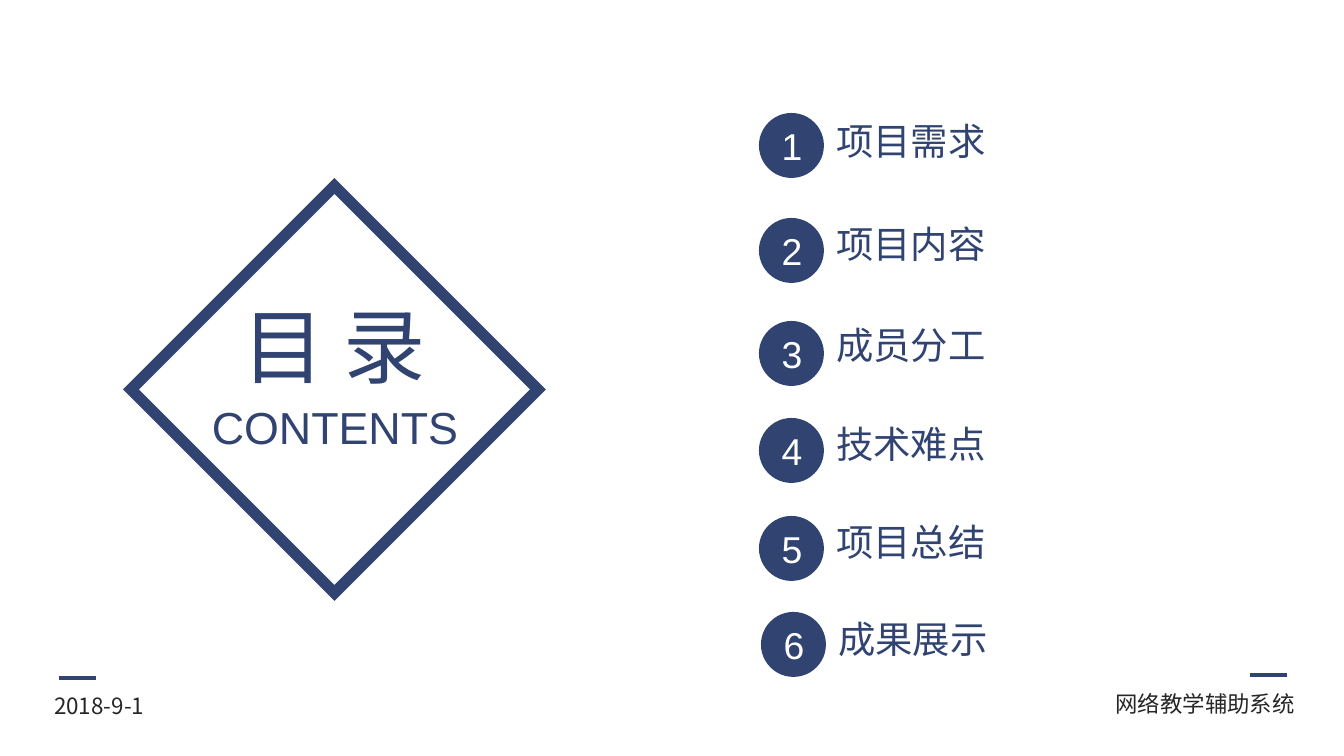
from lxml import etree
from pptx import Presentation
from pptx.dml.color import RGBColor
from pptx.enum.shapes import MSO_CONNECTOR, MSO_SHAPE
from pptx.enum.text import MSO_ANCHOR, MSO_AUTO_SIZE, PP_ALIGN
from pptx.oxml.ns import qn
from pptx.util import Pt

LEFT, CENTER, RIGHT = PP_ALIGN.LEFT, PP_ALIGN.CENTER, PP_ALIGN.RIGHT
MIDDLE = MSO_ANCHOR.MIDDLE
FIT = MSO_AUTO_SIZE.SHAPE_TO_FIT_TEXT
STRAIGHT = MSO_CONNECTOR.STRAIGHT
DIAMOND, OVAL = MSO_SHAPE.DIAMOND, MSO_SHAPE.OVAL

COLORS = {"navy": "304371", "ink": "262626", "white": "FFFFFF"}
LATIN, HAN = "Arial", "Noto Sans CJK SC"
EMU_PER_PX = 914400 / 134.4


def px(*lengths):
    return [round(length * EMU_PER_PX) for length in lengths]


def color(name):
    return RGBColor.from_string(COLORS[name])


def write(frame, text, size, font, ink, align):
    paragraph = frame.paragraphs[0]
    paragraph.alignment = align
    run = paragraph.add_run()
    run.text = text
    for key, value in {"size": Pt(size), "name": font}.items():
        setattr(run.font, key, value)
    run.font.color.rgb = color(ink)
    # East Asian glyphs take their own typeface
    etree.SubElement(run.font._element, qn("a:ea"), typeface=font)


def add_label(slide, box, text, size, font=HAN, ink="navy", align=LEFT):
    frame = slide.shapes.add_textbox(*px(*box)).text_frame
    for key, value in {"word_wrap": False, "auto_size": FIT}.items():
        setattr(frame, key, value)
    write(frame, text, size, font, ink, align)


def add_dash(slide, x, y, length=37):
    dash = slide.shapes.add_connector(STRAIGHT, *px(x, y, x + length, y))
    dash.line.color.rgb = color("navy")
    dash.line.width = Pt(2.25)
    etree.SubElement(dash._element.spPr, qn("a:effectLst"))


def add_footer(slide, box, text, dash_x, dash_y, align):
    x, y, width, height = box
    add_dash(slide, x + dash_x, y + dash_y)
    add_label(slide, box, text, 12, ink="ink", align=align)


def add_title(slide, box):
    x, y, width, height = box
    frame = slide.shapes.add_shape(DIAMOND, *px(*box))
    frame.shadow.inherit = False
    frame.fill.background()
    frame.line.color.rgb = color("navy")
    frame.line.width = Pt(6)
    # Sharp corners
    outline = frame._element.spPr.find(qn("a:ln"))
    etree.SubElement(outline, qn("a:miter"), lim="800000")
    # Heading and its translation
    add_label(slide, (x + 94, y + 103, 218, 113), "目 录", 44, align=CENTER)
    add_label(slide, (x + 66, y + 207, 276, 67), "CONTENTS", 24, LATIN, align=CENTER)


def add_entry(slide, box, number, topic, topic_rise):
    x, y, width, height = box
    badge = slide.shapes.add_shape(OVAL, *px(x, y, height, height))
    badge.shadow.inherit = False
    badge.fill.solid()
    badge.fill.fore_color.rgb = color("navy")
    badge.line.fill.background()
    badge.text_frame.vertical_anchor = MIDDLE
    write(badge.text_frame, str(number), 20, LATIN, "white", CENTER)
    add_label(slide, (x + 64, y - topic_rise, width - 64, 59), topic, 20)


def add_agenda(slide, x, y):
    # Topic, offset of its row, and rise of its label above the badge
    entries = [
        ("项目需求", 0, 0, 1),
        ("项目内容", 0, 105, 3),
        ("成员分工", 0, 208, 5),
        ("技术难点", 0, 305, 3),
        ("项目总结", 0, 403, 3),
        ("成果展示", 2, 499, 2),
    ]
    for number, (topic, dx, dy, rise) in enumerate(entries, 1):
        add_entry(slide, (x + dx, y + dy, 244, 65), number, topic, rise)


deck = Presentation()
deck.slide_width, deck.slide_height = px(1344, 756)
contents = deck.slides.add_slide(deck.slide_layouts[6])

add_title(contents, (131, 186, 407, 407))
add_agenda(contents, 759, 113)
add_footer(contents, (41, 686, 125, 41), "2018-9-1", 18, -8, LEFT)
add_footer(contents, (1102, 684, 206, 41), "网络教学辅助系统", 148, -9, RIGHT)

deck.save("out.pptx")
